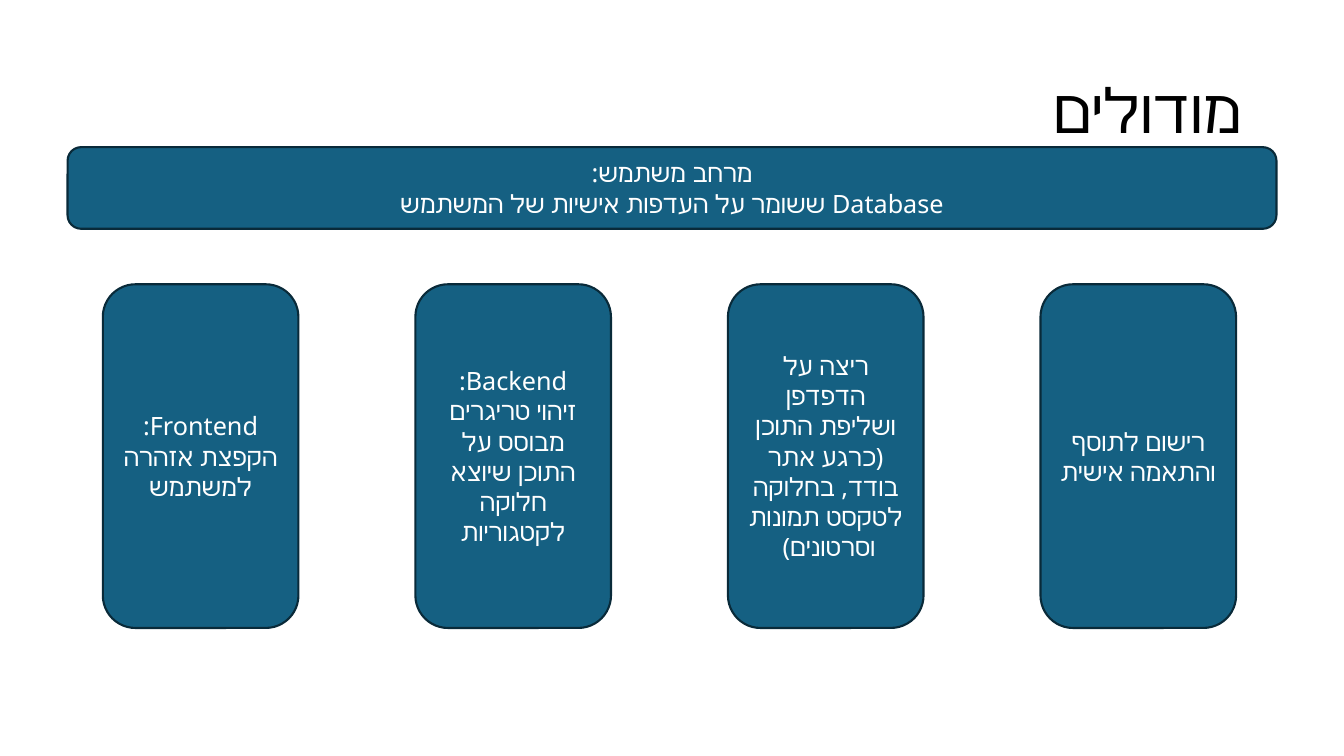
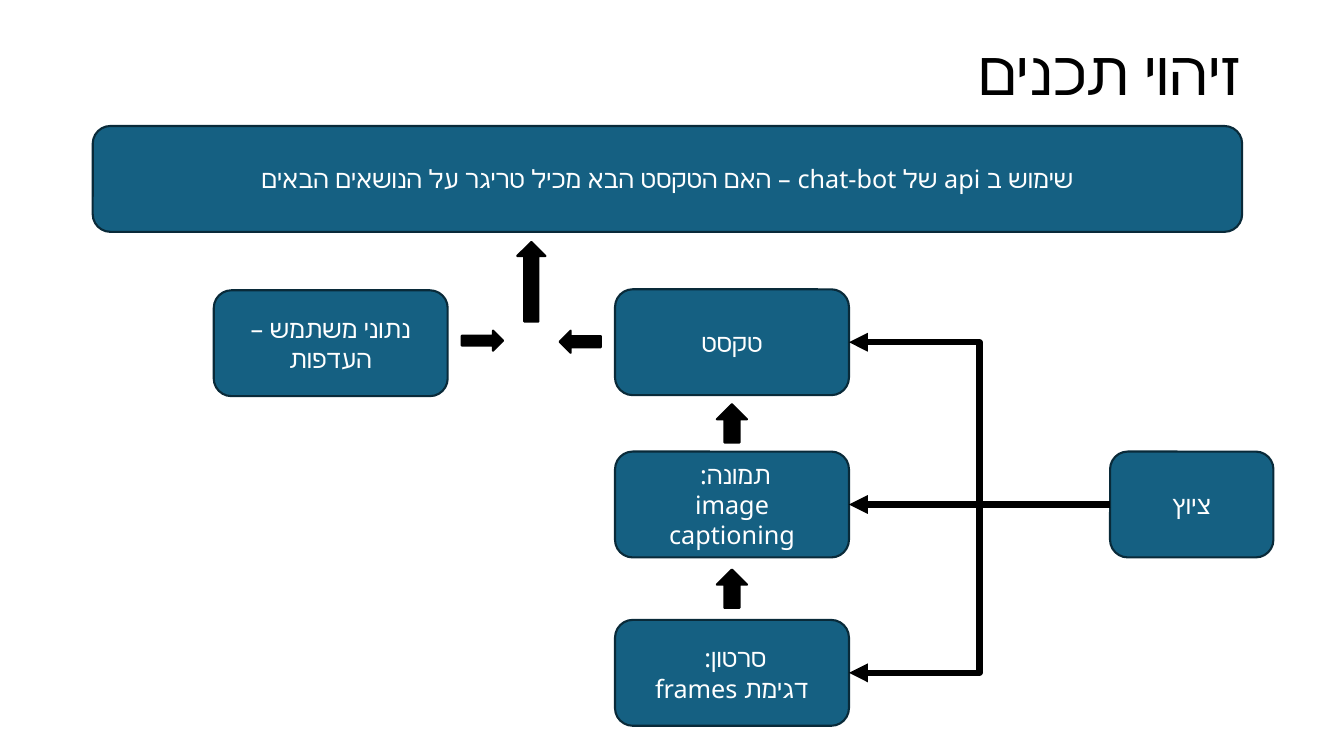
import dataclasses

import pptx
import pptx.dml.color
import pptx.enum.shapes
import pptx.enum.text
import pptx.oxml
import pptx.oxml.ns
import pptx.util

Inches = pptx.util.Inches
Pt = pptx.util.Pt
RGB = pptx.dml.color.RGBColor.from_string
Kind = pptx.enum.shapes.MSO_SHAPE
Link = pptx.enum.shapes.MSO_CONNECTOR
Align = pptx.enum.text.PP_ALIGN
Anchor = pptx.enum.text.MSO_ANCHOR


@dataclasses.dataclass(frozen=True)
class Theme:
    font: str = "Noto Sans"
    fill: str = "156082"
    edge: str = "092A39"
    ink: str = "000000"
    light: str = "FFFFFF"
    title: int = 44
    body: int = 18
    thin: float = 1.5
    thick: float = 4.5


theme = Theme()


def write(shape, text, size=theme.body, color=theme.light, align=Align.CENTER, space=1.0):
    """Fill a shape with right-to-left text, one paragraph per line."""
    frame = shape.text_frame
    frame.word_wrap = True
    frame.vertical_anchor = Anchor.MIDDLE
    for i, line in enumerate(text.split("\n")):
        para = frame.add_paragraph() if i else frame.paragraphs[0]
        para.text = line
        para.alignment = align
        para.line_spacing = space
        para._p.get_or_add_pPr().set("rtl", "1")
        for run in para.runs:
            run.font.name = theme.font
            run.font.size = Pt(size)
            run.font.color.rgb = RGB(color)
            # Hebrew letters take the complex-script font
            cs = pptx.oxml.parse_xml(
                f'<a:cs {pptx.oxml.ns.nsdecls("a")} typeface="{theme.font}"/>')
            run.font._element.append(cs)


def draw(slide, place, kind=Kind.ROUNDED_RECTANGLE, fill=theme.fill, edge=theme.edge):
    """Add a flat filled shape at left, top, width, height."""
    shape = slide.shapes.add_shape(kind, *map(Inches, place))
    shape.shadow.inherit = False
    shape.fill.solid()
    shape.fill.fore_color.rgb = RGB(fill)
    shape.line.color.rgb = RGB(edge)
    shape.line.width = Pt(theme.thin)
    return shape


deck = pptx.Presentation()
deck.slide_width = Inches(13.33)
deck.slide_height = Inches(7.5)

# Slides with their titles
slides = []
for text, top in (("מודולים", 0.4), ("זיהוי תכנים", 0.02)):
    slide = deck.slides.add_slide(deck.slide_layouts[6])
    box = slide.shapes.add_textbox(Inches(0.92), Inches(top), Inches(11.5), Inches(1.45))
    write(box, text, size=theme.title, color=theme.ink, align=Align.RIGHT, space=0.9)
    slides.append(slide)
parts, flow = slides

# Modules: user space band
band = draw(parts, (0.67, 1.46, 11.99, 0.81))
write(band, "מרחב משתמש:\nDatabase ששומר על העדפות אישיות של המשתמש")

# Modules: four even columns
columns = (
    "Frontend:\nהקפצת אזהרה למשתמש",
    "Backend:\nזיהוי טריגרים מבוסס על התוכן שיוצא\nחלוקה לקטגוריות",
    "ריצה על הדפדפן ושליפת התוכן (כרגע אתר בודד, בחלוקה לטקסט תמונות וסרטונים) ",
    "רישום לתוסף והתאמה אישית",
)
for i, text in enumerate(columns):
    write(draw(parts, (1.02 + 3.1 * i, 2.82, 1.94, 3.41)), text)

# Content detection: model band, user data and post
high = 1.05
wide = 2.32
band = draw(flow, (0.92, 1.25, 11.4, high))
write(band, "שימוש ב api של chat-bot – האם הטקסט הבא מכיל טריגר על הנושאים הבאים")
write(draw(flow, (2.12, 2.88, wide, high)), "נתוני משתמש – העדפות")
post = draw(flow, (11.01, 4.48, 1.62, high))
write(post, "ציוץ")

# Content detection: media types, each linked from the post
media = (
    ("טקסט", 2.87, Link.ELBOW),
    ("תמונה: \vimage captioning", 4.48, Link.STRAIGHT),
    ("סרטון: \vדגימת frames", 6.15, Link.ELBOW),
)
for text, top, kind in media:
    box = draw(flow, (6.1, top, wide, high))
    write(box, text)
    link = flow.shapes.add_connector(kind, 0, 0, 0, 0)
    link.begin_connect(post, 1)
    link.end_connect(box, 3)
    link.line.color.rgb = RGB(theme.ink)
    link.line.width = Pt(theme.thick)
    names = pptx.oxml.ns.nsdecls("a")
    link.line._get_or_add_ln().append(
        pptx.oxml.parse_xml(f'<a:tailEnd {names} type="triangle"/>'))
    link._element.spPr.append(pptx.oxml.parse_xml(f"<a:effectLst {names}/>"))

# Content detection: block arrows
arrows = (
    (Kind.UP_ARROW, (7.11, 4.01, 0.3, 0.38)),
    (Kind.UP_ARROW, (7.11, 5.65, 0.3, 0.38)),
    (Kind.UP_ARROW, (5.13, 2.4, 0.28, 0.79)),
    (Kind.RIGHT_ARROW, (4.58, 3.28, 0.41, 0.2)),
    (Kind.LEFT_ARROW, (5.55, 3.28, 0.41, 0.22)),
)
for kind, place in arrows:
    draw(flow, place, kind, fill=theme.ink, edge=theme.ink)

deck.save("out.pptx")
